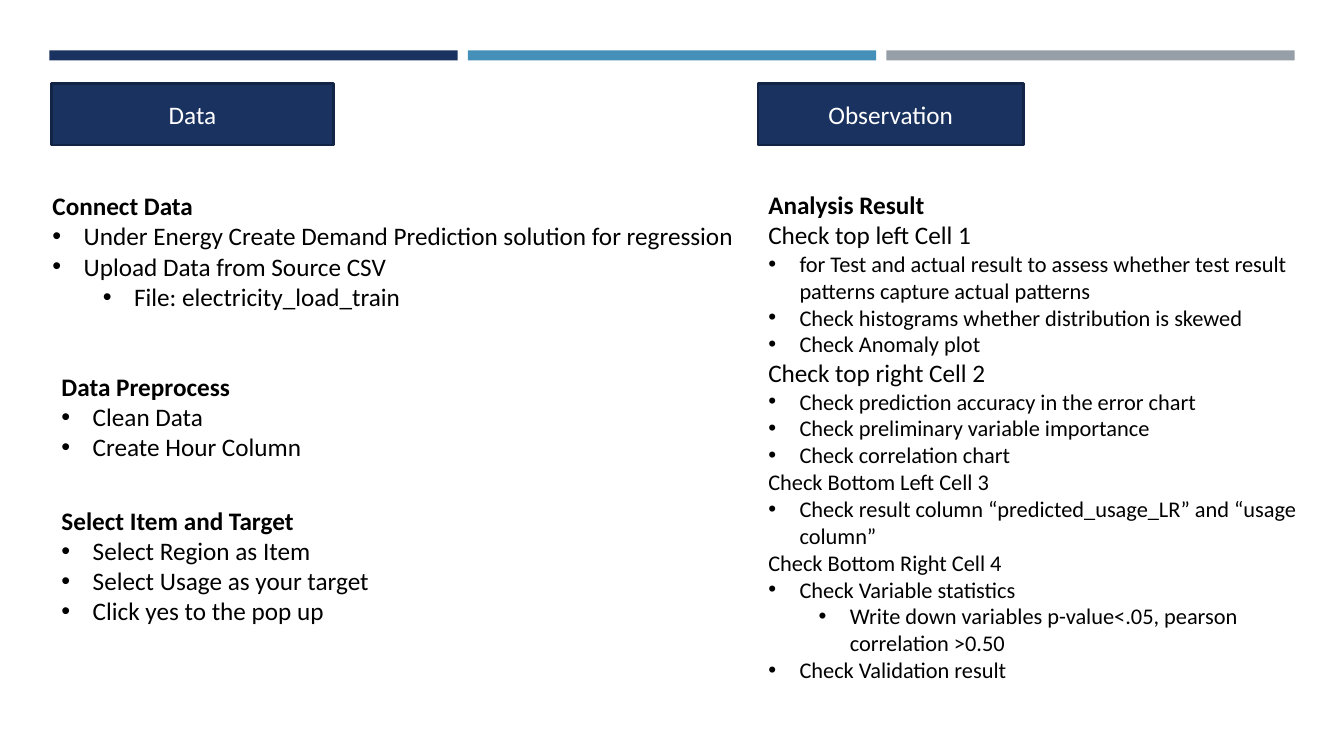
from dataclasses import dataclass

from lxml import etree
from pptx import Presentation
from pptx.dml.color import RGBColor
from pptx.enum.shapes import MSO_SHAPE
from pptx.enum.text import MSO_ANCHOR, MSO_AUTO_SIZE, PP_ALIGN
from pptx.oxml.ns import qn
from pptx.util import Inches, Pt

RECTANGLE = MSO_SHAPE.RECTANGLE
TOP, MIDDLE = MSO_ANCHOR.TOP, MSO_ANCHOR.MIDDLE
LEFT, CENTER = PP_ALIGN.LEFT, PP_ALIGN.CENTER
FIXED_SIZE = MSO_AUTO_SIZE.NONE
COMPARISON_LAYOUT = 4


@dataclass(frozen=True)
class Theme:
    font: str = "Calibri"
    navy: RGBColor = RGBColor(0x1A, 0x32, 0x60)
    outline: RGBColor = RGBColor(0x13, 0x25, 0x47)
    blue: RGBColor = RGBColor(0x45, 0x90, 0xB8)
    grey: RGBColor = RGBColor(0x96, 0x9F, 0xA7)
    white: RGBColor = RGBColor(0xFF, 0xFF, 0xFF)
    black: RGBColor = RGBColor(0, 0, 0)
    large: int = 18
    small: int = 16
    outline_width: float = 1.75
    hanging: float = 0.31
    level_step: float = 0.5


THEME = Theme()

HEADING = {"size": THEME.large, "bold": True}
TEXT = {"size": THEME.large}
SMALL_TEXT = {"size": THEME.small}
BULLET = {"size": THEME.large, "level": 0}
SUB_BULLET = {"size": THEME.large, "level": 1}
SMALL_BULLET = {"size": THEME.small, "level": 0}
SMALL_SUB_BULLET = {"size": THEME.small, "level": 1}

HEADERS = [
    ("Data", (0.51, 0.83, 2.8, 0.61)),
    ("Observation", (7.52, 0.83, 2.63, 0.61)),
]

SECTIONS = [
    ((0.42, 1.84, 7.19, 1.31), [
        ("Connect Data", HEADING),
        ("Under Energy Create Demand Prediction solution for regression", BULLET),
        ("Upload Data from Source CSV", BULLET),
        ("File: electricity_load_train", SUB_BULLET),
    ]),
    ((0.51, 3.63, 5.69, 1.01), [
        ("Data Preprocess", HEADING),
        ("Clean Data", BULLET),
        ("Create Hour Column", BULLET),
    ]),
    ((0.51, 4.96, 4.16, 1.31), [
        ("Select Item and Target", HEADING),
        ("Select Region as Item", BULLET),
        ("Select Usage as your target", BULLET),
        ("Click yes to the pop up", BULLET),
    ]),
    ((7.52, 1.83, 5.68, 5.62), [
        ("Analysis Result", HEADING),
        ("Check top left Cell 1", TEXT),
        ("for Test and actual result to assess whether test result "
         "patterns capture actual patterns", SMALL_BULLET),
        ("Check histograms whether distribution is skewed", SMALL_BULLET),
        ("Check Anomaly plot", SMALL_BULLET),
        ("Check top right Cell 2", TEXT),
        ("Check prediction accuracy in the error chart", SMALL_BULLET),
        ("Check preliminary variable importance", SMALL_BULLET),
        ("Check correlation chart", SMALL_BULLET),
        ("Check Bottom Left Cell 3", SMALL_TEXT),
        ("Check result column “predicted_usage_LR” and “usage column”", SMALL_BULLET),
        ("Check Bottom Right Cell 4", SMALL_TEXT),
        ("Check Variable statistics", SMALL_BULLET),
        ("Write down variables p-value<.05, pearson correlation >0.50", SMALL_SUB_BULLET),
        ("Check Validation result", SMALL_BULLET),
    ]),
]


def apply_format(target, values):
    for name, value in values.items():
        setattr(target, name, value)


def add_span(para, text, size, color, bold=False):
    span = para.add_run()
    span.text = text
    apply_format(span.font, {"name": THEME.font, "size": Pt(size), "bold": bold})
    span.font.color.rgb = color


def add_rectangle(page, box, fill):
    shape = page.shapes.add_shape(RECTANGLE, *map(Inches, box))
    shape.shadow.inherit = False
    shape.fill.solid()
    shape.fill.fore_color.rgb = fill
    shape.line.fill.background()
    return shape


def draw_top_band(page, box, gap=0.1):
    left, top, width, height = box
    colors = (THEME.navy, THEME.blue, THEME.grey)
    bar_width = (width - gap * (len(colors) - 1)) / len(colors)
    for index, color in enumerate(colors):
        bar_left = left + index * (bar_width + gap)
        add_rectangle(page, (bar_left, top, bar_width, height), color)


def draw_header(page, box, text):
    shape = add_rectangle(page, box, THEME.navy)
    shape.line.color.rgb = THEME.outline
    shape.line.width = Pt(THEME.outline_width)
    shape.text_frame.vertical_anchor = MIDDLE
    para = shape.text_frame.paragraphs[0]
    para.alignment = CENTER
    add_span(para, text, THEME.large, THEME.white)


def set_bullet(para, level):
    properties = para._p.get_or_add_pPr()
    if level is None:
        margin, indent = 0, 0
        etree.SubElement(properties, qn("a:buNone"))
    else:
        margin = THEME.hanging + level * THEME.level_step
        indent = -THEME.hanging
        para.level = level
        etree.SubElement(properties, qn("a:buFont"), typeface="Arial")
        etree.SubElement(properties, qn("a:buChar"), char="•")
    properties.set("marL", str(Inches(margin)))
    properties.set("indent", str(Inches(indent)))


def fill_section(body, box, lines):
    apply_format(body, dict(zip(("left", "top", "width", "height"), map(Inches, box))))
    frame = body.text_frame
    apply_format(frame, {"word_wrap": True, "auto_size": FIXED_SIZE, "vertical_anchor": TOP})
    for index, (text, style) in enumerate(lines):
        para = frame.add_paragraph() if index else frame.paragraphs[0]
        apply_format(para, {"alignment": LEFT, "line_spacing": 1.0,
                            "space_before": Pt(0), "space_after": Pt(0)})
        set_bullet(para, style.get("level"))
        add_span(para, text, style["size"], THEME.black, style.get("bold", False))


def build_slide(deck):
    page = deck.slides.add_slide(deck.slide_layouts[COMPARISON_LAYOUT])
    title = page.shapes.title.element
    title.getparent().remove(title)
    draw_top_band(page, (0.49, 0.5, 12.35, 0.1))
    for text, box in HEADERS:
        draw_header(page, box, text)
    for body, (box, lines) in zip(page.placeholders, SECTIONS):
        fill_section(body, box, lines)


def main():
    deck = Presentation()
    apply_format(deck, {"slide_width": Inches(13.33), "slide_height": Inches(7.5)})
    build_slide(deck)
    deck.save("out.pptx")


if __name__ == "__main__":
    main()
